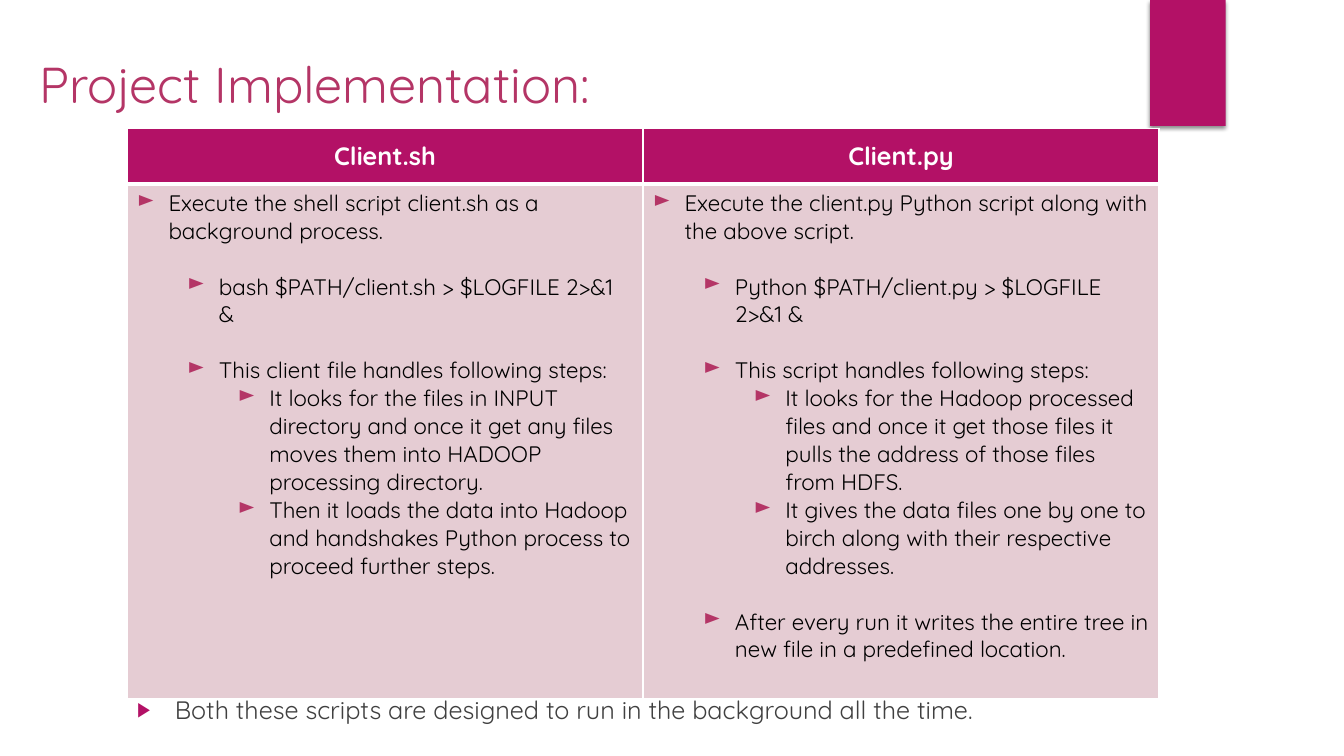
from lxml import etree
from pptx import Presentation
from pptx import util as u
from pptx.dml.color import RGBColor
from pptx.enum import shapes, text
from pptx.oxml import parse_xml
from pptx.oxml.ns import nsdecls, qn

FONT = "Quicksand"
MAGENTA, ROSE, PALE = "B31166", "B43566", "E5CCD3"
WHITE, BLACK, GREY = "FFFFFF", "000000", "404040"
HEADER_H, BODY_H, COL_W = 39.6, 368, 368.6
LINE = 20

COLUMNS = [
    ("Client.sh", [
        (0, 0, "Execute the shell script client.sh as a background process."),
        (1, LINE, "bash $PATH/client.sh > $LOGFILE 2>&1 &"),
        (1, LINE, "This client file handles following steps:"),
        (2, 0, "It looks for the files in INPUT directory and once it get any "
               "files moves them into HADOOP processing directory."),
        (2, 0, "Then it loads the data into Hadoop and handshakes Python "
               "process to proceed further steps."),
    ]),
    ("Client.py", [
        (0, 0, "Execute the client.py Python script along with the above script."),
        (1, LINE, "Python $PATH/client.py > $LOGFILE 2>&1 &"),
        (1, LINE, "This script handles following steps:"),
        (2, 0, "It looks for the Hadoop processed files and once it get those "
               "files it pulls the address of those files from HDFS."),
        (2, 0, "It gives the data files one by one to birch along with their "
               "respective addresses."),
        (1, LINE, "After every run it writes the entire tree in new file in a "
                  "predefined location."),
    ]),
]


def rgb(value):
    return RGBColor.from_string(value)


def place(sp, left, top, width, height):
    sp.left, sp.top = u.Pt(left), u.Pt(top)
    sp.width, sp.height = u.Pt(width), u.Pt(height)


def format_runs(p, size, color, bold=False):
    for r in p.runs:
        r.font.name = FONT
        r.font.size = u.Pt(size)
        r.font.bold = bold
        r.font.color.rgb = rgb(color)


def add_bullet(p, char, color, left, hang, percent=100):
    pPr = p._p.get_or_add_pPr()
    pPr.set("marL", str(u.Pt(left)))
    pPr.set("indent", str(-u.Pt(hang)))
    clr = etree.SubElement(pPr, qn("a:buClr"))
    etree.SubElement(clr, qn("a:srgbClr"), val=color)
    etree.SubElement(pPr, qn("a:buSzPct"), val=str(percent * 1000))
    etree.SubElement(pPr, qn("a:buChar"), char=char)


def add_tab(s):
    sp = s.shapes.add_shape(shapes.MSO_SHAPE.RECTANGLE,
                            u.Pt(821.5), u.Pt(0), u.Pt(54), u.Pt(90))
    sp.fill.solid()
    sp.fill.fore_color.rgb = rgb(MAGENTA)
    sp.line.fill.background()
    sp._element.spPr.append(parse_xml(
        f'<a:effectLst {nsdecls("a")}><a:outerShdw blurRad="{u.Pt(3)}" '
        f'dist="{u.Pt(2)}" dir="5400000" rotWithShape="0">'
        '<a:srgbClr val="000000"><a:alpha val="45000"/></a:srgbClr>'
        '</a:outerShdw></a:effectLst>'))


def fill_title(sp, title):
    place(sp, 21, 31.7, 690, 55.4)
    tf = sp.text_frame
    tf.text = title
    tf.auto_size = text.MSO_AUTO_SIZE.NONE
    tf.vertical_anchor = text.MSO_ANCHOR.MIDDLE
    p = tf.paragraphs[0]
    p.alignment = text.PP_ALIGN.LEFT
    format_runs(p, 36, ROSE)


def fill_body(sp, note):
    place(sp, 90.7, 492.5, 695, 36)
    tf = sp.text_frame
    tf.text = note
    tf.auto_size = text.MSO_AUTO_SIZE.NONE
    p = tf.paragraphs[0]
    add_bullet(p, "▶", MAGENTA, 27, 27, 80)
    p.space_before = u.Pt(0)
    format_runs(p, 18, GREY)


def style_cell(cell, fill, top, bottom):
    tcPr = cell._tc.get_or_add_tcPr()
    for side, width in (("L", 1), ("R", 1), ("T", top), ("B", bottom)):
        tcPr.append(parse_xml(
            f'<a:ln{side} {nsdecls("a")} w="{u.Pt(width)}"><a:solidFill>'
            f'<a:srgbClr val="{WHITE}"/></a:solidFill></a:ln{side}>'))
    cell.fill.solid()
    cell.fill.fore_color.rgb = rgb(fill)


def fill_header(cell, label):
    style_cell(cell, MAGENTA, 1, 3)
    cell.vertical_anchor = text.MSO_ANCHOR.MIDDLE
    p = cell.text_frame.paragraphs[0]
    p.text = label
    p.alignment = text.PP_ALIGN.CENTER
    format_runs(p, 18, WHITE, True)


def fill_steps(cell, steps):
    style_cell(cell, PALE, 3, 1)
    tf = cell.text_frame
    tf.text = "\n".join(step for _, _, step in steps)
    for p, (level, gap, _) in zip(tf.paragraphs, steps):
        p.level = level
        add_bullet(p, "►", ROSE, 22.5 + 36 * level, 22.5)
        p.space_before = u.Pt(gap)
        format_runs(p, 16, BLACK)


def add_script_table(s):
    table = s.shapes.add_table(2, len(COLUMNS), u.Pt(90.7), u.Pt(91.7),
                               u.Pt(COL_W * len(COLUMNS)),
                               u.Pt(HEADER_H + BODY_H)).table
    for row, height in zip(table.rows, (HEADER_H, BODY_H)):
        row.height = u.Pt(height)
    for i, (label, steps) in enumerate(COLUMNS):
        table.columns[i].width = u.Pt(COL_W)
        fill_header(table.cell(0, i), label)
        fill_steps(table.cell(1, i), steps)


def main():
    prs = Presentation()
    prs.slide_width, prs.slide_height = u.Pt(960), u.Pt(540)
    s = prs.slides.add_slide(prs.slide_layouts[1])
    add_tab(s)
    fill_title(s.shapes.title, "Project Implementation:")
    fill_body(s.placeholders[1],
              "Both these scripts are designed to run in the background all the time.")
    add_script_table(s)
    prs.save("out.pptx")


if __name__ == "__main__":
    main()
